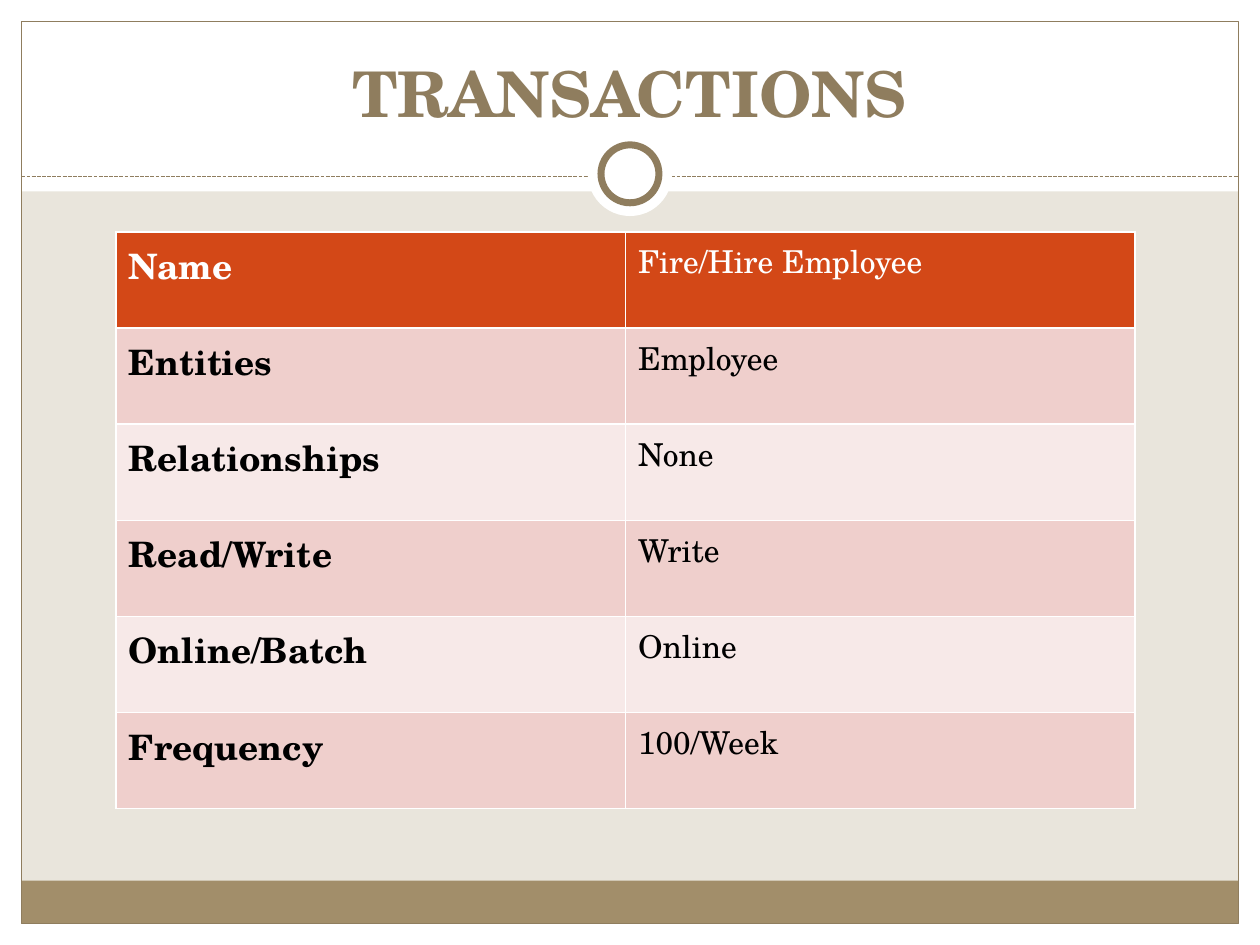
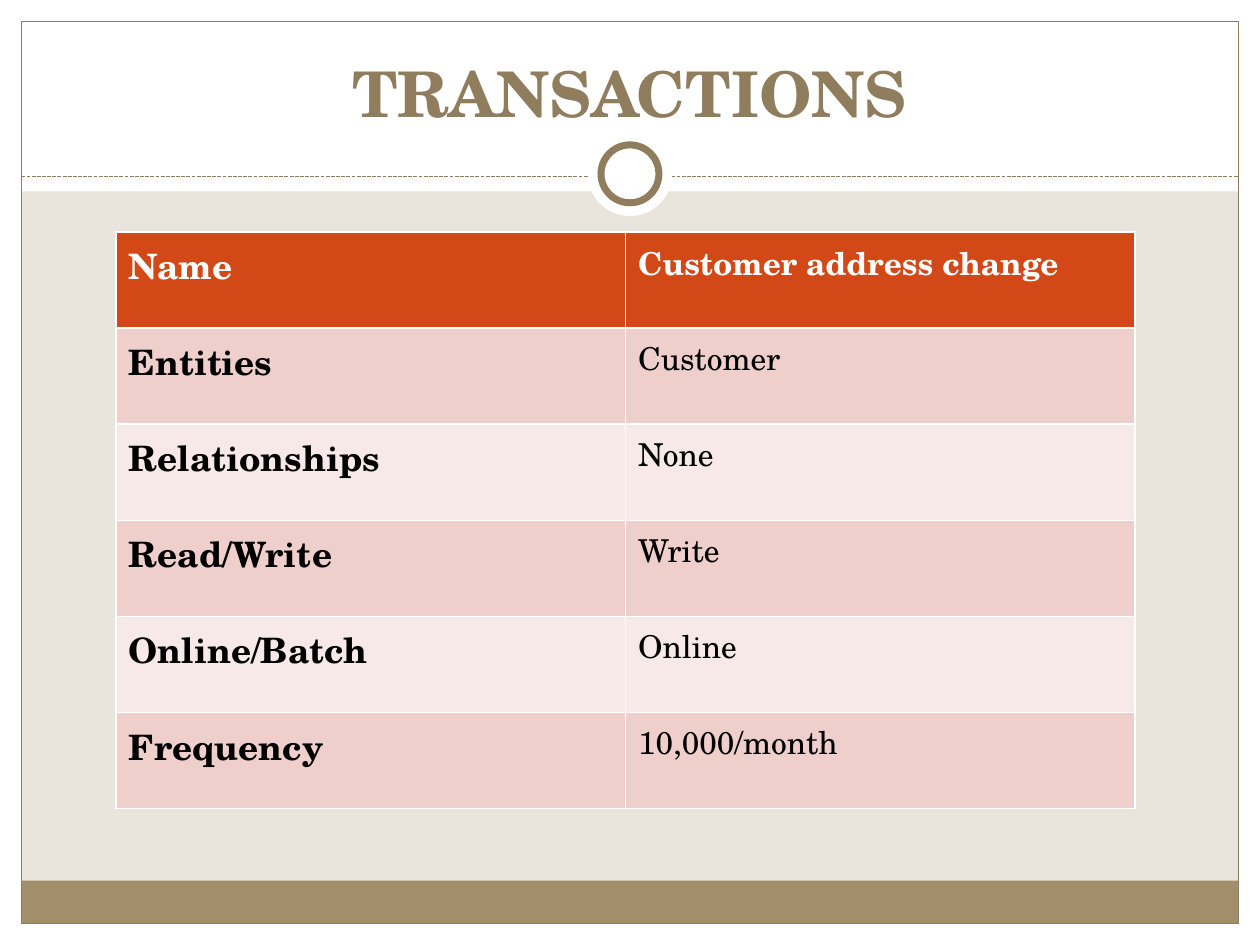
from lxml import etree
from pptx import Presentation
from pptx.dml.color import RGBColor
from pptx.enum.dml import MSO_LINE
from pptx.enum.shapes import MSO_CONNECTOR, MSO_SHAPE
from pptx.enum.text import MSO_ANCHOR, PP_ALIGN
from pptx.oxml.ns import qn
from pptx.util import Inches, Pt

RECTANGLE, OVAL = MSO_SHAPE.RECTANGLE, MSO_SHAPE.OVAL
STRAIGHT = MSO_CONNECTOR.STRAIGHT
SQUARE_DASH = MSO_LINE.SQUARE_DOT
BOTTOM = MSO_ANCHOR.BOTTOM
CENTER = PP_ALIGN.CENTER

WHITE = RGBColor(0xFF, 0xFF, 0xFF)
BLACK = RGBColor(0x00, 0x00, 0x00)
SAND = RGBColor(0xE9, 0xE5, 0xDC)
TAN = RGBColor(0xA2, 0x8E, 0x6A)
BROWN = RGBColor(0x8F, 0x7D, 0x5E)
ORANGE = RGBColor(0xD3, 0x48, 0x17)
ROSE = RGBColor(0xEF, 0xCF, 0xCC)
PALE_ROSE = RGBColor(0xF7, 0xE9, 0xE8)

FONT = "TeX Gyre Schola"
WIDTH, HEIGHT, MARGIN = 10, 7.5, 0.17
INNER_WIDTH = WIDTH - 2 * MARGIN
RULE_TOP = 1.4
FOOTER_HEIGHT = 0.34
RING_CENTER = 1.38

TABLE_LEFT, TABLE_TOP, TABLE_WIDTH, TABLE_HEIGHT = 0.92, 1.84, 8.09, 4.58
LABELS = ["Name", "Entities", "Relationships", "Read/Write", "Online/Batch", "Frequency"]
LABEL_FORMAT = {"size": Pt(20), "bold": True}
VALUE_FORMAT = {"size": Pt(18), "bold": False}
TITLE_FORMAT = {"size": Pt(36), "bold": True}

# Values in the order of LABELS, and whether the transaction name is bold
TRANSACTIONS = [
    (["Fire/Hire Employee", "Employee", "None", "Write", "Online", "100/Week"], False),
    (["Customer address change", "Customer", "None", "Write", "Online", "10,000/month"], True),
]


def write_text(paragraph, text, color, text_format):
    run = paragraph.add_run()
    run.text = text
    run.font.name = FONT
    run.font.color.rgb = color
    for name, value in text_format.items():
        setattr(run.font, name, value)


def add_plain_shape(slide, kind, left, top, width, height, fill=None, line=None, weight=0.75):
    shape = slide.shapes.add_shape(kind, Inches(left), Inches(top), Inches(width), Inches(height))
    shape.shadow.inherit = False
    if fill is None:
        shape.fill.background()
    else:
        shape.fill.solid()
        shape.fill.fore_color.rgb = fill
    if line is None:
        shape.line.fill.background()
    else:
        shape.line.color.rgb = line
        shape.line.width = Pt(weight)


def add_dashed_rule(slide):
    rule = slide.shapes.add_connector(
        STRAIGHT, Inches(MARGIN), Inches(RULE_TOP), Inches(WIDTH - MARGIN), Inches(RULE_TOP))
    rule.line.color.rgb = BROWN
    rule.line.width = Pt(0.75)
    rule.line.dash_style = SQUARE_DASH
    etree.SubElement(rule.element.spPr, qn("a:effectLst"))


def add_circle(slide, diameter, **style):
    """Draw a circle centred on the ring position below the title."""
    add_plain_shape(slide, OVAL, (WIDTH - diameter) / 2, RING_CENTER - diameter / 2,
                    diameter, diameter, **style)


def add_backdrop(slide):
    slide.background.fill.solid()
    slide.background.fill.fore_color.rgb = SAND
    white_bands = [
        (0, HEIGHT - MARGIN, WIDTH, MARGIN),
        (0, 0, WIDTH, 1.52),
        (0, 0, MARGIN, HEIGHT),
        (WIDTH - MARGIN, 0, MARGIN, HEIGHT),
    ]
    for band in white_bands:
        add_plain_shape(slide, RECTANGLE, *band, fill=WHITE)
    add_plain_shape(slide, RECTANGLE, MARGIN, HEIGHT - MARGIN - FOOTER_HEIGHT,
                    INNER_WIDTH, FOOTER_HEIGHT, fill=TAN)
    add_plain_shape(slide, RECTANGLE, MARGIN, MARGIN, INNER_WIDTH, HEIGHT - 2 * MARGIN, line=BROWN)
    add_dashed_rule(slide)
    add_circle(slide, 0.67, fill=WHITE)
    add_circle(slide, 0.46, fill=WHITE, line=BROWN, weight=4)


def add_title(slide, text):
    box = slide.shapes.add_textbox(Inches(0.33), Inches(0.25), Inches(9.33), Inches(0.83))
    frame = box.text_frame
    frame.word_wrap = True
    frame.vertical_anchor = BOTTOM
    paragraph = frame.paragraphs[0]
    paragraph.alignment = CENTER
    write_text(paragraph, text, BROWN, TITLE_FORMAT)


def add_cell_borders(cell):
    properties = cell._tc.get_or_add_tcPr()
    for side in ("a:lnL", "a:lnR", "a:lnT", "a:lnB"):
        border = etree.SubElement(properties, qn(side), w=str(Pt(1)))
        fill = etree.SubElement(border, qn("a:solidFill"))
        etree.SubElement(fill, qn("a:srgbClr"), val=str(WHITE))


def fill_cell(cell, text, row, text_format):
    """Style a cell: orange header row, then alternating rose rows."""
    add_cell_borders(cell)
    cell.fill.solid()
    cell.fill.fore_color.rgb = ORANGE if row == 0 else ROSE if row % 2 else PALE_ROSE
    color = WHITE if row == 0 else BLACK
    write_text(cell.text_frame.paragraphs[0], text, color, text_format)


def add_transaction_table(slide, values, bold_name):
    table = slide.shapes.add_table(
        len(LABELS), 2, Inches(TABLE_LEFT), Inches(TABLE_TOP),
        Inches(TABLE_WIDTH), Inches(TABLE_HEIGHT)).table
    for row, (label, value) in enumerate(zip(LABELS, values)):
        value_format = {**VALUE_FORMAT, "bold": bold_name and row == 0}
        fill_cell(table.cell(row, 0), label, row, LABEL_FORMAT)
        fill_cell(table.cell(row, 1), value, row, value_format)


def main():
    presentation = Presentation()
    presentation.slide_width = Inches(WIDTH)
    presentation.slide_height = Inches(HEIGHT)
    blank_layout = presentation.slide_layouts[6]
    for values, bold_name in TRANSACTIONS:
        slide = presentation.slides.add_slide(blank_layout)
        add_backdrop(slide)
        add_title(slide, "TRANSACTIONS")
        add_transaction_table(slide, values, bold_name)
    presentation.save("out.pptx")


if __name__ == "__main__":
    main()
